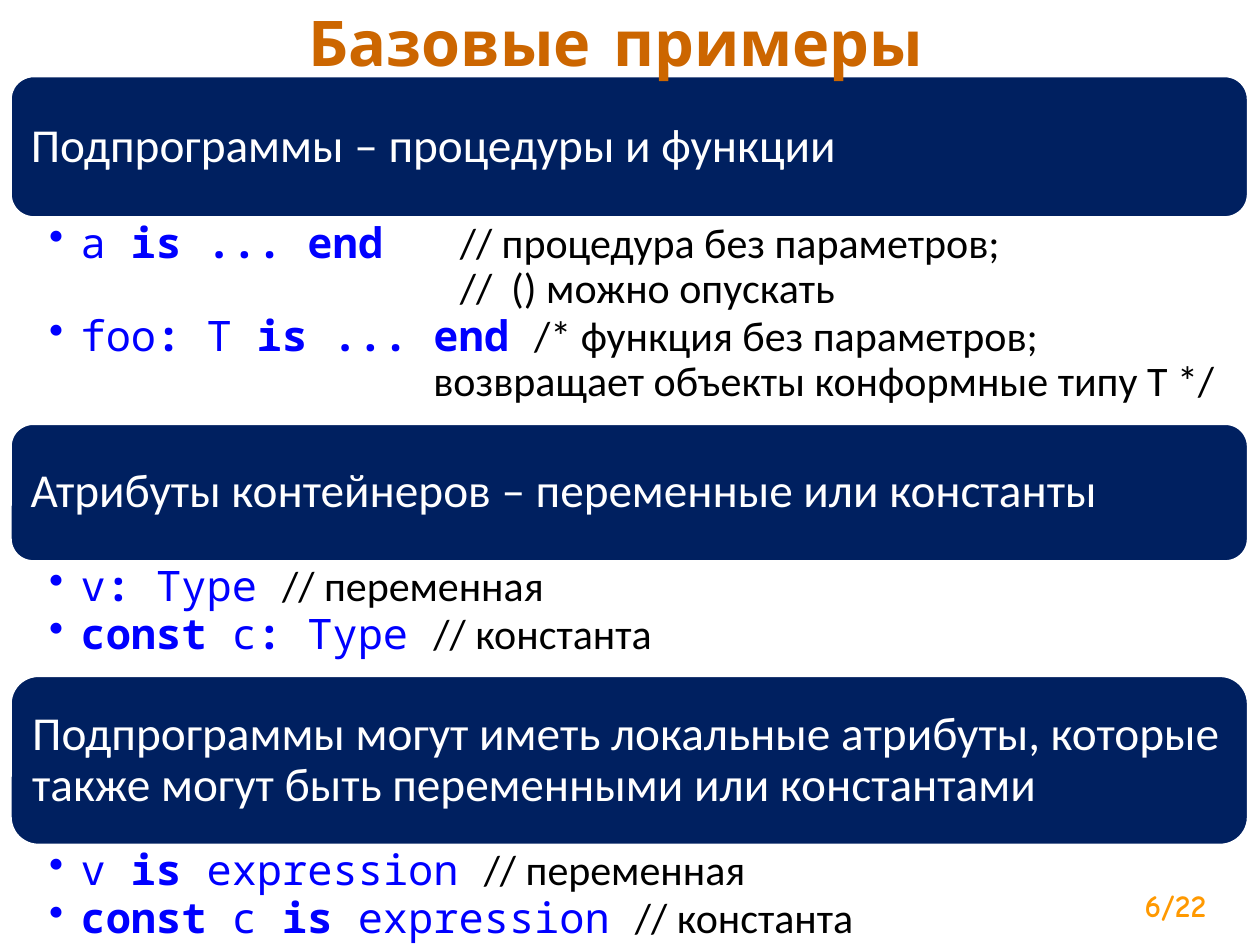
from lxml import etree
from pptx import Presentation
from pptx.dml.color import RGBColor
from pptx.enum.shapes import MSO_SHAPE
from pptx.enum.text import MSO_ANCHOR, PP_ALIGN
from pptx.oxml.ns import qn
from pptx.util import Inches, Pt

ROUNDED = MSO_SHAPE.ROUNDED_RECTANGLE
TOP, MIDDLE = MSO_ANCHOR.TOP, MSO_ANCHOR.MIDDLE
LEFT, CENTER = PP_ALIGN.LEFT, PP_ALIGN.CENTER

NAVY, BLUE, BLACK, WHITE = "002060", "0000FF", "000000", "FFFFFF"
TITLE_COLOR, NUMBER_COLOR = "CC6600", "FF9900"
BODY_FONT, CODE_FONT, TITLE_FONT = "Calibri", "Noto Sans Mono", "Comic Neue"

TITLE = "Базовые примеры"
PAGE = "6/22"
# Asterisks switch bold on and off in the code; the last field is the tab stop.
SECTIONS = [
    {"heading": "Подпрограммы – процедуры и функции", "bar": 1.13, "body": 1.63,
     "items": [
         ("a *is ... end*", "\t// процедура без параметров;\v\t//  () можно опускать", 3.26),
         ("foo*: *T *is ... end *",
          "/* функция без параметров;\v\tвозвращает объекты конформные типу T */", 3.05)]},
    {"heading": "Атрибуты контейнеров – переменные или константы", "bar": 1.1, "body": 0.9,
     "items": [("v*: *Type ", "// переменная", None),
               ("*const *c*: *Type ", "// константа", None)]},
    {"heading": "Подпрограммы могут иметь локальные атрибуты, которые также могут быть "
                "переменными или константами", "bar": 1.35, "body": 0.9,
     "items": [("v *is* expression ", "// переменная", None),
               ("*const *c *is* expression ", "// константа", None)]},
]
BAR_LEFT, BAR_WIDTH, FIRST_TOP = 0.08, 9.83, 0.6
INDENT = 0.25


def color(hex_string):
    """Turn a hex string into a colour."""
    return RGBColor.from_string(hex_string)


def add_text(paragraph, text, font=BODY_FONT, size=24, fill=BLACK, bold=False):
    """Append text to a paragraph, with line breaks at vertical tabs."""
    for index, line in enumerate(text.split("\v")):
        if index:
            paragraph.add_line_break()
        run = paragraph.add_run()
        run.text = line
        run.font.name, run.font.size, run.font.bold = font, Pt(size), bold
        run.font.color.rgb = color(fill)


def set_frame(shape, margins=(0.1, 0.05, 0.1, 0.05), anchor=TOP):
    """Set wrapping, margins and anchor, and return the text frame."""
    frame = shape.text_frame
    frame.word_wrap = True
    frame.vertical_anchor = anchor
    frame.margin_left, frame.margin_top, frame.margin_right, frame.margin_bottom = map(
        Inches, margins)
    return frame


def add_label(slide, text, box, **text_format):
    """Add a centred one-line text box."""
    paragraph = set_frame(slide.shapes.add_textbox(*map(Inches, box))).paragraphs[0]
    paragraph.alignment = CENTER
    add_text(paragraph, text, font=TITLE_FONT, bold=True, **text_format)


def add_bar(slide, heading, top, height):
    """Add a rounded bar with its heading."""
    bar = slide.shapes.add_shape(ROUNDED, *map(Inches, (BAR_LEFT, top, BAR_WIDTH, height)))
    bar.shadow.inherit = False
    bar.fill.solid()
    bar.fill.fore_color.rgb = color(NAVY)
    bar.line.color.rgb = color(WHITE)
    bar.line.width = Pt(2)
    paragraph = set_frame(bar, (0.11,) * 4, MIDDLE).paragraphs[0]
    paragraph.alignment = LEFT
    paragraph.line_spacing = 0.9
    add_text(paragraph, heading, size=27, fill=WHITE)


def set_bullet(paragraph, tab_stop):
    """Give a paragraph a hanging bullet and an optional tab stop."""
    properties = paragraph._p.get_or_add_pPr()
    properties.set("marL", str(Inches(INDENT)))
    properties.set("indent", str(-Inches(INDENT)))
    etree.SubElement(properties, qn("a:buChar")).set("char", "•")
    if tab_stop:
        tabs = etree.SubElement(properties, qn("a:tabLst"))
        tab = etree.SubElement(tabs, qn("a:tab"))
        tab.set("pos", str(Inches(tab_stop)))
        tab.set("algn", "l")


def add_items(slide, items, top, height):
    """Add the bulleted code lines with their comments."""
    box = slide.shapes.add_textbox(*map(Inches, (BAR_LEFT, top, BAR_WIDTH, height)))
    frame = set_frame(box, (0.31, 0.03, 0.19, 0.03))
    for index, (code, comment, tab_stop) in enumerate(items):
        paragraph = frame.add_paragraph() if index else frame.paragraphs[0]
        paragraph.line_spacing = 0.9
        paragraph.space_after = Pt(1.5)
        set_bullet(paragraph, tab_stop)
        for position, part in enumerate(code.split("*")):
            if part:
                add_text(paragraph, part, font=CODE_FONT, fill=BLUE, bold=position % 2 == 1)
        add_text(paragraph, comment)


def main():
    """Build the slide and save it."""
    presentation = Presentation()
    presentation.slide_width, presentation.slide_height = Inches(10), Inches(7.5)
    slide = presentation.slides.add_slide(presentation.slide_layouts[6])
    top = FIRST_TOP
    for section in SECTIONS:
        add_bar(slide, section["heading"], top, section["bar"])
        top += section["bar"]
        add_items(slide, section["items"], top, section["body"])
        top += section["body"]
    add_label(slide, TITLE, (0.08, -0.02, 9.62, 0.7), size=36, fill=TITLE_COLOR)
    add_label(slide, PAGE, (8.78, 6.98, 1.1, 0.4), size=18, fill=NUMBER_COLOR)
    presentation.save("out.pptx")


if __name__ == "__main__":
    main()
